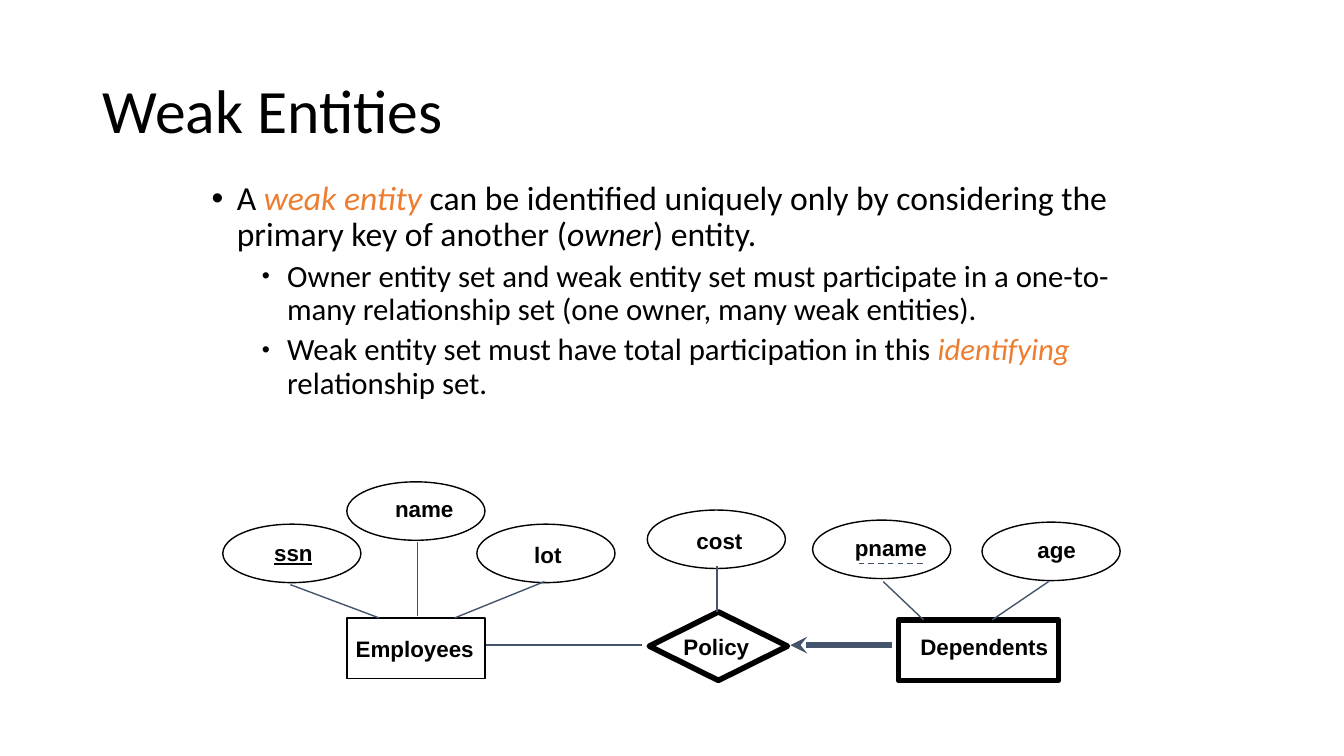
from lxml.etree import SubElement
from pptx import Presentation
from pptx.dml.color import RGBColor
from pptx.enum.dml import MSO_LINE
from pptx.enum.shapes import MSO_CONNECTOR, MSO_SHAPE
from pptx.enum.text import MSO_ANCHOR, MSO_AUTO_SIZE
from pptx.oxml.ns import qn
from pptx.util import Pt

EMU_PER_PX = 9144
SLIDE_SIZE = (1333, 750)
COLORS = {"ink": "000000", "accent": "ED7D31", "link": "44546A"}

TITLE = ("Weak Entities", (92, 40, 1150, 145))
BODY_BOX = (200, 175, 958, 267)
BODY = [
    (0, [("A ", "plain"), ("weak entity ", "term"),
         ("can be identified uniquely only by considering the primary key of another (", "plain"),
         ("owner", "italic"), (") entity.", "plain")]),
    (1, [("Owner entity set and weak entity set must participate in a one-to-many "
          "relationship set (one owner, many weak entities).", "plain")]),
    (1, [("Weak entity set must have total participation in this ", "plain"),
         ("identifying ", "term"), ("relationship set.", "plain")]),
]
LEVELS = [
    {"size": 24, "before": 10, "indent": 25, "bullet": 100},
    {"size": 22, "before": 5, "indent": 75, "bullet": 75},
]
HANGING = 25

ATTRIBUTE_SIZE = (137, 58)
ATTRIBUTES = [
    ("ssn", (221, 520), (262, 530, 58, 36)),
    ("name", (344, 478), (382, 486, 79, 37)),
    ("lot", (473, 520), (520, 532, 48, 37)),
    ("cost", (642, 506), (681, 518, 66, 37)),
    ("pname", (806, 516), (838, 525, 97, 36)),
    ("age", (974, 518), (1019, 527, 58, 36)),
]
PRIMARY_KEY = "ssn"
SETS = [
    ("Employees", MSO_SHAPE.RECTANGLE, (344, 613, 137, 60), 1, (343, 625, 137, 36)),
    ("Policy", MSO_SHAPE.DIAMOND, (644, 607, 137, 68), 4, (668, 623, 86, 37)),
    ("Dependents", MSO_SHAPE.RECTANGLE, (891, 615, 159, 60), 4, (903, 623, 147, 36)),
]
LINKS = [
    ((414, 538), (414, 611)),
    ((288, 580), (376, 613)),
    ((540, 577), (451, 613)),
    ((711, 607), (711, 562)),
    ((876, 577), (916, 615)),
    ((1040, 577), (984, 615)),
    ((637, 640), (482, 640)),
]
PARTIAL_KEY_LINE = ((915, 559), (849, 559))
PARTICIPATION_ARROW = ((784, 640), (885, 640))


def emu(*lengths):
    return [length * EMU_PER_PX for length in lengths]


def color(name):
    return RGBColor.from_string(COLORS[name])


def style(font, face, size, bold=False):
    font.name, font.size, font.bold = face, Pt(size), bold
    font.color.rgb = color("ink")


def add_text(slide, box, wrap):
    frame = slide.shapes.add_textbox(*emu(*box)).text_frame
    frame.word_wrap = wrap
    return frame


def add_title(slide):
    words, box = TITLE
    frame = add_text(slide, box, True)
    frame.vertical_anchor = MSO_ANCHOR.MIDDLE
    heading = frame.paragraphs[0]
    heading.text = words
    heading.line_spacing = 0.9
    style(heading.font, "Calibri", 44)


def add_bullet(paragraph, level):
    props = paragraph._p.get_or_add_pPr()
    indent, hanging = emu(level["indent"], -HANGING)
    props.set("marL", str(indent))
    props.set("indent", str(hanging))
    for tag, key, value in (("a:buSzPct", "val", str(level["bullet"] * 1000)),
                            ("a:buFont", "typeface", "Arial"),
                            ("a:buChar", "char", "•")):
        mark = SubElement(props, qn(tag))
        mark.set(key, value)


def add_body(slide):
    frame = add_text(slide, BODY_BOX, True)
    for index, (depth, pieces) in enumerate(BODY):
        point = frame.add_paragraph() if index else frame.paragraphs[0]
        level = LEVELS[depth]
        point.level = depth
        point.line_spacing = 0.9
        point.space_before = Pt(level["before"])
        add_bullet(point, level)
        style(point.font, "Calibri", level["size"])
        for words, kind in pieces:
            run = point.add_run()
            run.text = words
            if kind != "plain":
                run.font.italic = True
            if kind == "term":
                run.font.color.rgb = color("accent")


def add_outline(slide, kind, box, weight):
    outline = slide.shapes.add_shape(kind, *emu(*box))
    outline.shadow.inherit = False
    outline.fill.background()
    outline.line.color.rgb = color("ink")
    outline.line.width = Pt(weight)


def add_label(slide, words, box):
    frame = add_text(slide, box, False)
    frame.auto_size = MSO_AUTO_SIZE.SHAPE_TO_FIT_TEXT
    label = frame.paragraphs[0]
    label.text = words
    style(label.font, "Arial", 16, bold=True)
    if words == PRIMARY_KEY:
        label.font.underline = True


def add_link(slide, start, end, weight=1):
    link = slide.shapes.add_connector(MSO_CONNECTOR.STRAIGHT, *emu(*start, *end))
    link.line.color.rgb = color("link")
    link.line.width = Pt(weight)
    SubElement(link._element.spPr, qn("a:effectLst"))
    return link


def main():
    deck = Presentation()
    deck.slide_width, deck.slide_height = emu(*SLIDE_SIZE)
    slide = deck.slides.add_slide(deck.slide_layouts[6])
    add_title(slide)
    add_body(slide)
    for words, corner, label_box in ATTRIBUTES:
        add_outline(slide, MSO_SHAPE.OVAL, corner + ATTRIBUTE_SIZE, 1)
        add_label(slide, words, label_box)
    for words, kind, box, weight, label_box in SETS:
        add_outline(slide, kind, box, weight)
        add_label(slide, words, label_box)
    for start, end in LINKS:
        add_link(slide, start, end)
    add_link(slide, *PARTIAL_KEY_LINE).line.dash_style = MSO_LINE.DASH
    arrow = add_link(slide, *PARTICIPATION_ARROW, weight=4)
    SubElement(arrow.line._get_or_add_ln(), qn("a:headEnd")).set("type", "stealth")
    deck.save("out.pptx")


if __name__ == "__main__":
    main()
